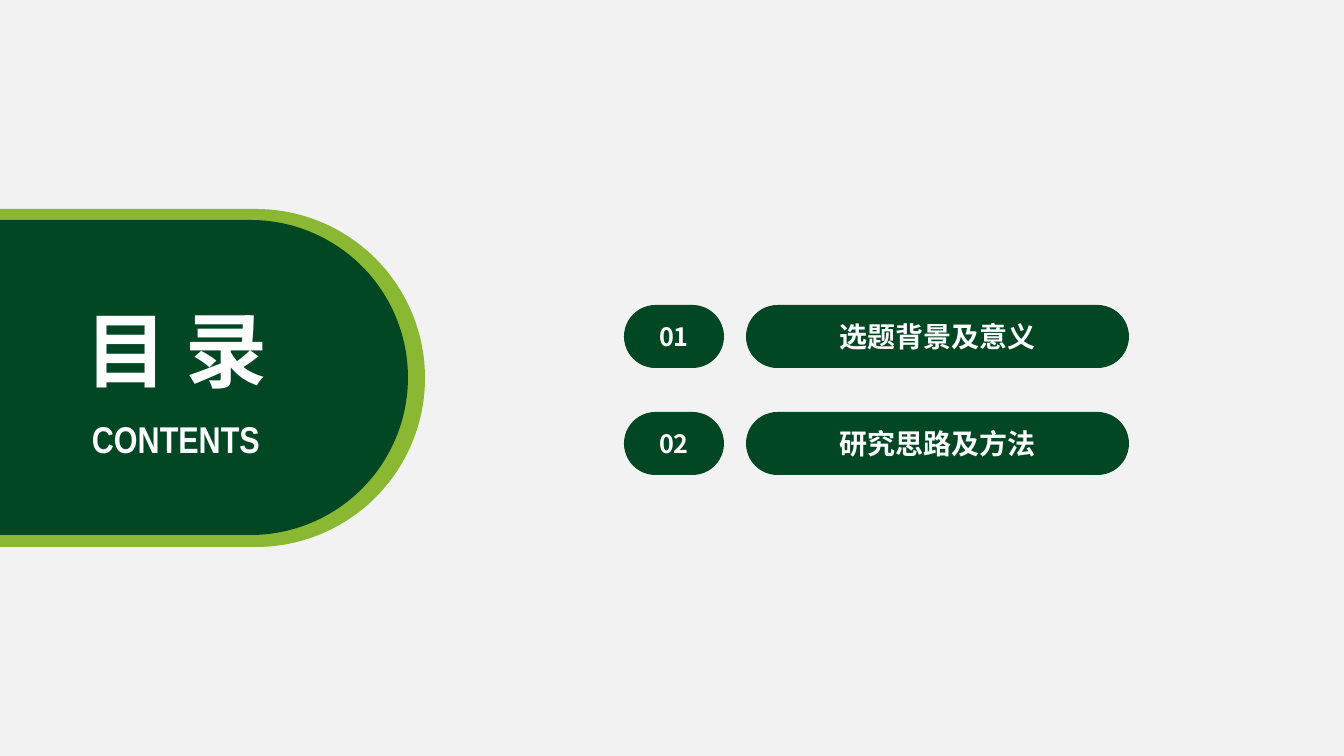
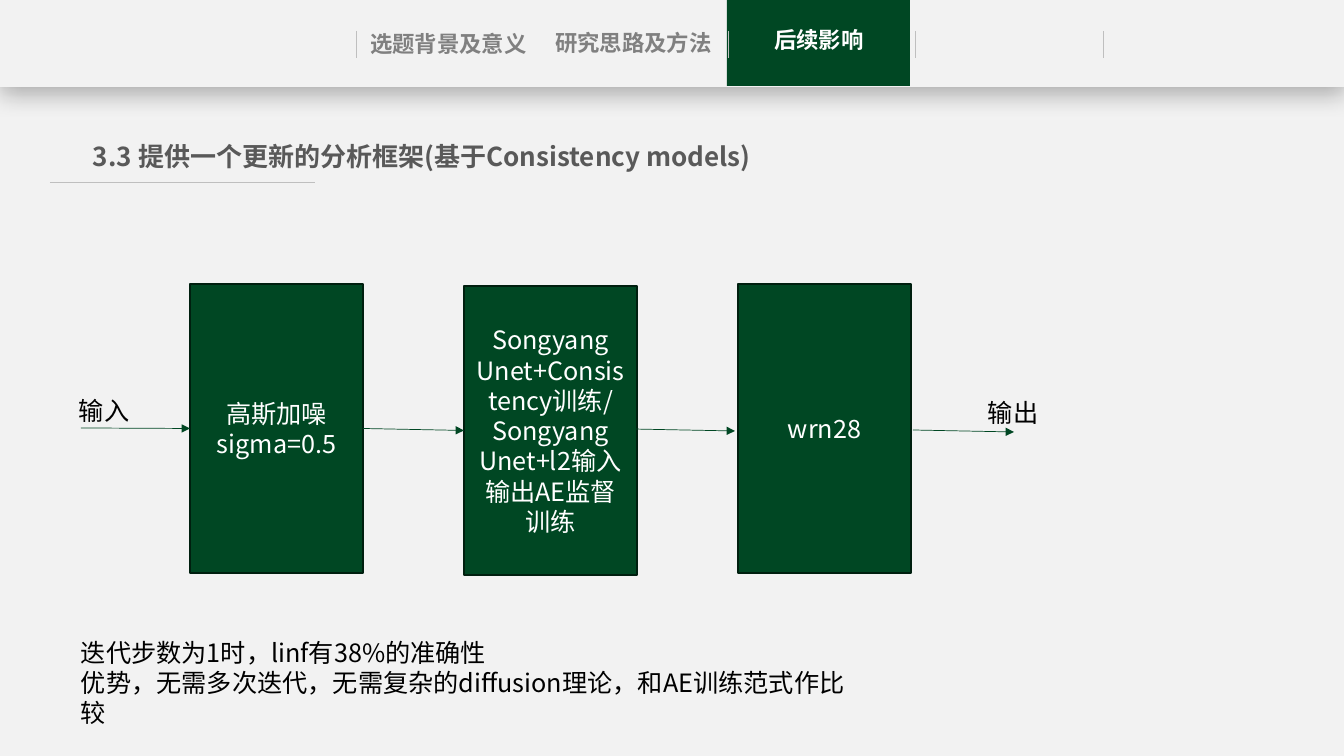
from lxml import etree
from pptx import Presentation
from pptx.dml.color import RGBColor
from pptx.enum.shapes import MSO_CONNECTOR, MSO_SHAPE
from pptx.enum.text import MSO_ANCHOR, MSO_AUTO_SIZE, PP_ALIGN
from pptx.oxml.ns import qn
from pptx.util import Emu, Pt

RECT, PILL = MSO_SHAPE.RECTANGLE, MSO_SHAPE.ROUNDED_RECTANGLE
STRAIGHT = MSO_CONNECTOR.STRAIGHT
LEFT, CENTER = PP_ALIGN.LEFT, PP_ALIGN.CENTER
TOP, MIDDLE = MSO_ANCHOR.TOP, MSO_ANCHOR.MIDDLE
FIT = MSO_AUTO_SIZE.SHAPE_TO_FIT_TEXT

SANS, NARROW = "Noto Sans CJK SC", "Arial Narrow"
PAPER, WHITE, BLACK = "F2F2F2", "FFFFFF", "000000"
GREEN, DEEP, LIME, EDGE = "014723", "004723", "8AB833", "001F0F"
RULE, MUTED, HEADING = "BFBFBF", "808080", "595959"

STYLES = {
    "contents": (WHITE, {"name": SANS, "size": Pt(58.6), "bold": True}),
    "subtitle": (WHITE, {"name": NARROW, "size": Pt(26.6), "bold": True}),
    "number": (WHITE, {"name": SANS, "size": Pt(18), "bold": True}),
    "entry": (WHITE, {"name": SANS, "size": Pt(20), "bold": True}),
    "nav": (MUTED, {"name": SANS, "size": Pt(16), "bold": True}),
    "nav_on": (WHITE, {"name": SANS, "size": Pt(16), "bold": True}),
    "heading": (HEADING, {"name": SANS, "size": Pt(18.6), "bold": True}),
    "block": (WHITE, {"name": SANS, "size": Pt(18), "bold": False}),
    "body": (BLACK, {"name": SANS, "size": Pt(18), "bold": False}),
}


def px(n):
    return Emu(round(n * 914400 / 100.8))


def rgb(value):
    return RGBColor.from_string(value)


class Deck:
    """Holds the shared style and the slide being drawn."""

    def __init__(self):
        self.prs = Presentation()
        self.prs.slide_width, self.prs.slide_height = px(1344), px(756)
        fill = self.prs.slide_master.background.fill
        fill.solid()
        fill.fore_color.rgb = rgb(PAPER)

    def new_slide(self):
        self.s = self.prs.slides.add_slide(self.prs.slide_layouts[6])

    def fill_text(self, tf, text, style, align):
        color, fmt = STYLES[style]
        for i, line in enumerate(text.split("\n")):
            p = tf.paragraphs[0] if i == 0 else tf.add_paragraph()
            p.alignment = align
            r = p.add_run()
            r.text = line
            r.font.color.rgb = rgb(color)
            for attr, value in fmt.items():
                setattr(r.font, attr, value)
            ea = etree.SubElement(r._r.get_or_add_rPr(), qn("a:ea"))
            ea.set("typeface", fmt["name"])

    def shape(self, kind, x, y, w, h, fill, text="", style="block", line=None):
        sp = self.s.shapes.add_shape(kind, px(x), px(y), px(w), px(h))
        sp.shadow.inherit = False
        sp.fill.solid()
        sp.fill.fore_color.rgb = rgb(fill)
        if kind == PILL:
            sp.adjustments[0] = 0.5
        if line:
            sp.line.color.rgb = rgb(line)
            sp.line.width = Pt(1)
        else:
            sp.line.fill.background()
        if text:
            tf = sp.text_frame
            tf.word_wrap = True
            tf.vertical_anchor = MIDDLE
            self.fill_text(tf, text, style, CENTER)
        return sp

    def text(self, x, y, w, h, text, style, align=LEFT, wrap=True, inset=10):
        sp = self.s.shapes.add_textbox(px(x), px(y), px(w), px(h))
        tf = sp.text_frame
        fmt = {"word_wrap": wrap, "auto_size": FIT, "vertical_anchor": TOP,
               "margin_left": px(inset), "margin_right": px(inset)}
        for attr, value in fmt.items():
            setattr(tf, attr, value)
        self.fill_text(tf, text, style, align)

    def line(self, x1, y1, x2, y2, color=RULE, arrow=False, begin=None, end=None):
        cn = self.s.shapes.add_connector(STRAIGHT, px(x1), px(y1), px(x2), px(y2))
        if begin:
            cn.begin_connect(begin, 3)
        if end:
            cn.end_connect(end, 1)
        cn.line.color.rgb = rgb(color)
        cn.line.width = Pt(0.5)
        spPr = cn._element.spPr
        if arrow:
            etree.SubElement(spPr.find(qn("a:ln")), qn("a:tailEnd"), type="triangle")
        etree.SubElement(spPr, qn("a:effectLst"))

    def shadow(self, sp, color, alpha, blur, dist):
        effects = sp._element.spPr.find(qn("a:effectLst"))
        outer = etree.SubElement(
            effects, qn("a:outerShdw"), blurRad=str(int(Pt(blur))), dist=str(int(Pt(dist))),
            dir="5400000", algn="t", rotWithShape="0")
        clr = etree.SubElement(outer, qn("a:srgbClr"), val=color)
        etree.SubElement(clr, qn("a:alpha"), val=str(alpha * 1000))


def contents_slide(deck):
    deck.new_slide()
    deck.shape(PILL, -198, 209, 623, 338, LIME)
    deck.shape(PILL, -171, 220, 579, 315, GREEN)
    for i, title in enumerate(["选题背景及意义", "研究思路及方法"]):
        y = 305 + 107 * i
        deck.shape(PILL, 624, y, 100, 63, GREEN, f"{i + 1:02d}", "number")
        deck.shape(PILL, 746, y, 383, 63, GREEN, title, "entry")
    deck.text(62, 411, 228, 55, "CONTENTS", "subtitle", CENTER, wrap=False)
    deck.text(71, 295, 211, 110, "目 录", "contents", CENTER, wrap=False)


def framework_slide(deck):
    deck.new_slide()
    band = deck.shape(RECT, 0, 0, 1344, 87, PAPER)
    deck.shadow(band, BLACK, 29, 18, 4)
    deck.shape(RECT, 727, -1, 183, 87, DEEP)
    for x in (356, 728, 915, 1103):
        deck.line(x, 31, x, 58)
    deck.text(363, 25, 171, 38, "选题背景及意义", "nav", CENTER, inset=0)
    deck.text(542, 24, 183, 37, "研究思路及方法", "nav", CENTER)
    deck.text(735, 21, 168, 38, "后续影响", "nav_on", CENTER, inset=0)

    deck.line(50, 182, 315, 182)
    deck.text(93, 136, 739, 42, "3.3 提供一个更新的分析框架(基于Consistency models)",
              "heading", inset=0)

    steps = [
        (284, "高斯加噪\nsigma=0.5"),
        (286, "Songyang\nUnet+Consistency训练/ Songyang\nUnet+l2输入输出AE监督训练"),
        (284, "wrn28"),
    ]
    noise, denoiser, _ = [
        deck.shape(RECT, 190 + 274 * i, y, 173, 289, DEEP, text, line=EDGE)
        for i, (y, text) in enumerate(steps)]
    arrows = [
        (81, 428, 190, 428, None, noise),
        (363, 428, 464, 430, noise, denoiser),
        (633, 429, 735, 431, None, None),
        (913, 430, 1014, 432, None, None),
    ]
    for x1, y1, x2, y2, begin, end in arrows:
        deck.line(x1, y1, x2, y2, DEEP, True, begin, end)

    deck.text(69, 390, 72, 40, "输入", "body", wrap=False)
    deck.text(978, 392, 72, 40, "输出", "body", wrap=False)
    deck.text(71, 632, 804, 72,
              "迭代步数为1时，linf有38%的准确性\n"
              "优势，无需多次迭代，无需复杂的diffusion理论，和AE训练范式作比较", "body")


def main():
    deck = Deck()
    contents_slide(deck)
    framework_slide(deck)
    deck.prs.save("out.pptx")


if __name__ == "__main__":
    main()
